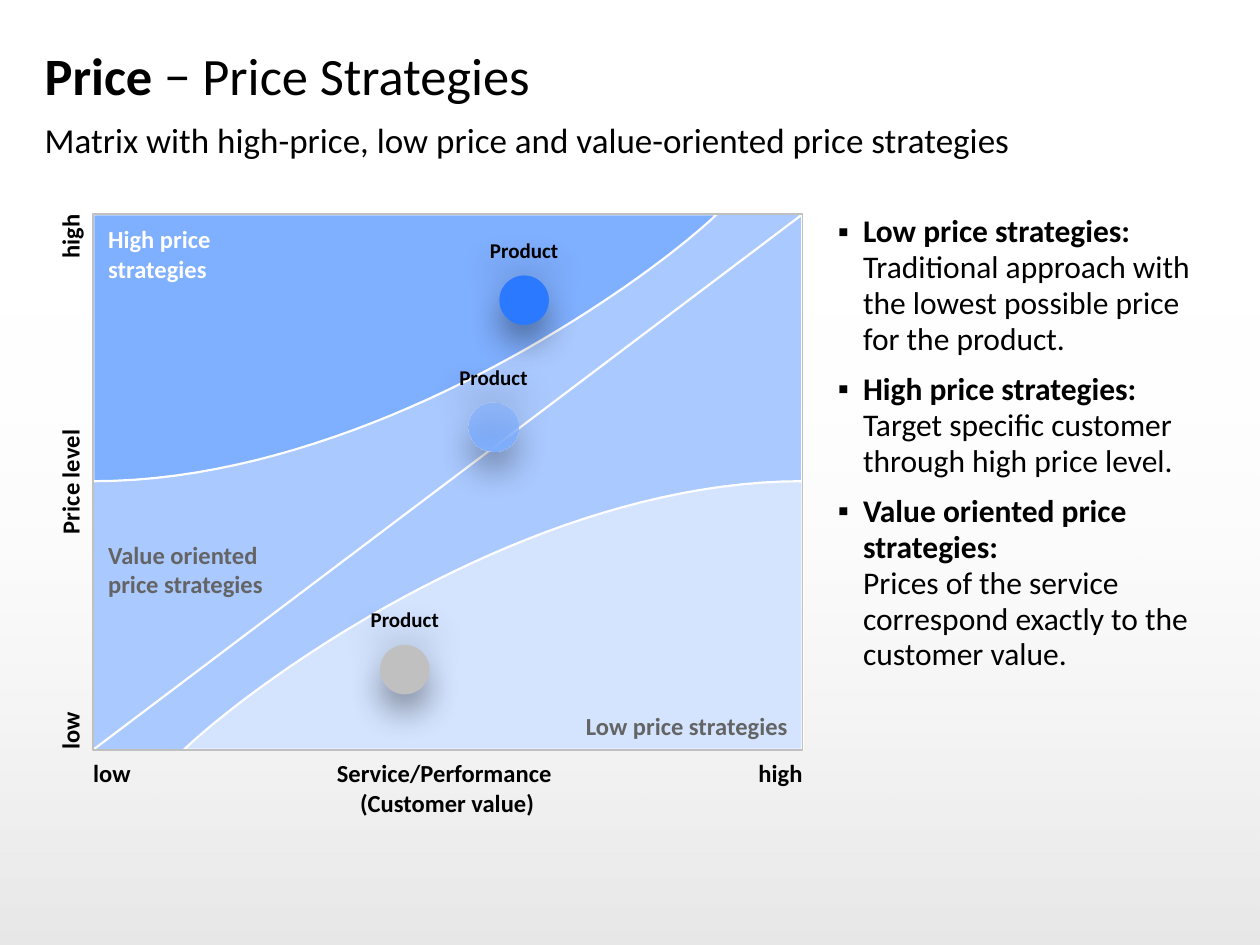
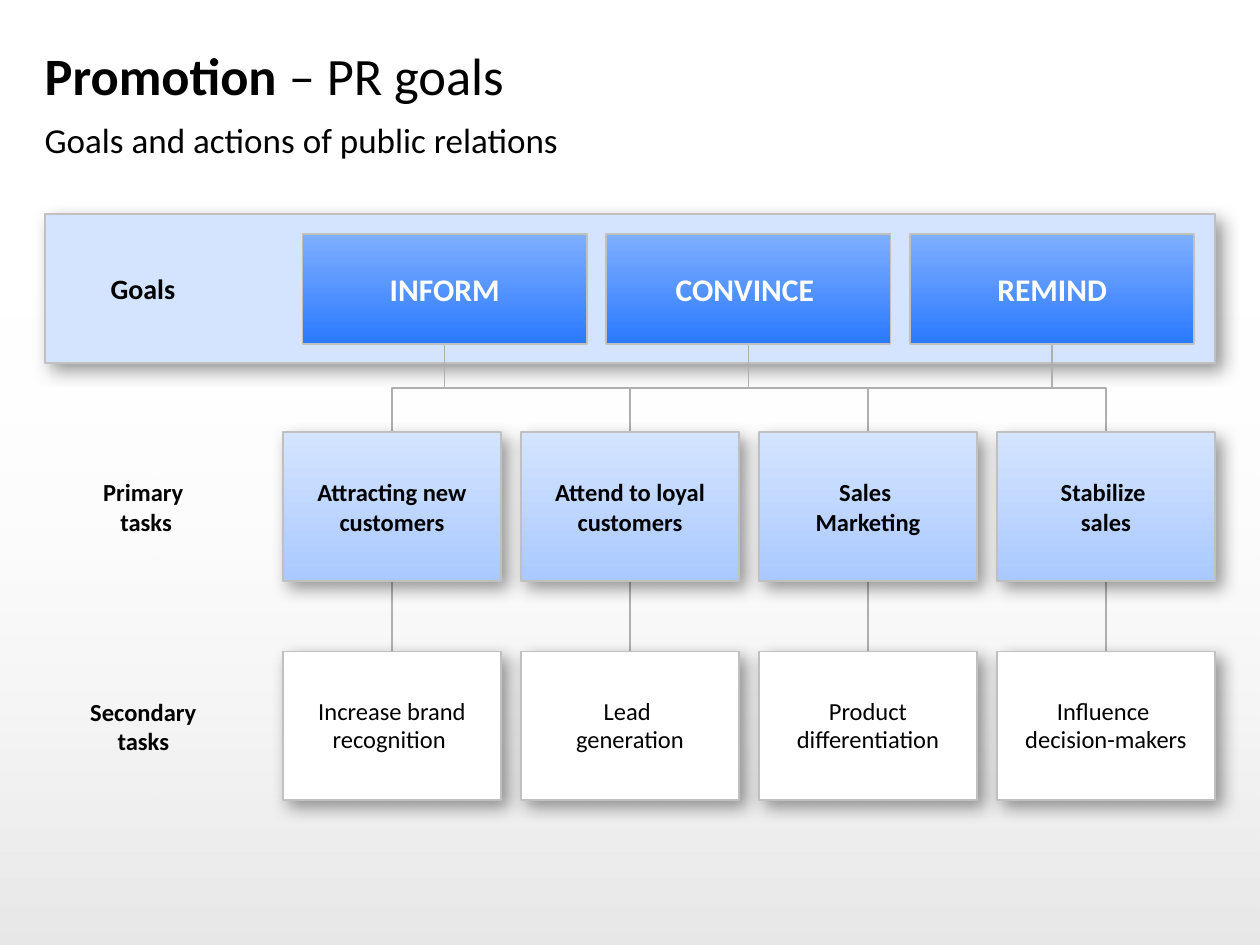
from copy import deepcopy
from dataclasses import dataclass, replace
from typing import NamedTuple

from pptx import Presentation
from pptx.dml.color import RGBColor
from pptx.enum.shapes import MSO_CONNECTOR, MSO_SHAPE
from pptx.enum.text import MSO_ANCHOR, MSO_AUTO_SIZE, PP_ALIGN
from pptx.oxml import parse_xml
from pptx.oxml.ns import nsdecls, qn
from pptx.oxml.xmlchemy import OxmlElement
from pptx.util import Pt

BLACK, WHITE, DARK = "000000", "FFFFFF", "646464"
PALE, LIGHT, MID, BLUE = "D4E4FF", "AAC9FF", "7FAFFF", "2A79FF"
GREY, WIRE = "C0C0C0", "AFAFAF"
LEFT, TOP, WIDE = 25.5, 122.4, 669
RIGHT, CENTER = PP_ALIGN.RIGHT, PP_ALIGN.CENTER
MIDDLE, BOTTOM = MSO_ANCHOR.MIDDLE, MSO_ANCHOR.BOTTOM


class Box(NamedTuple):
    x: float
    y: float
    w: float
    h: float

    def emu(self) -> list:
        return [Pt(v) for v in self]


class Shade(NamedTuple):
    blur: float
    dist: float
    angle: int


class Fade(NamedTuple):
    """Colours with their opacity in percent, from first to last."""
    stops: tuple
    angle: int = 90


@dataclass(frozen=True)
class Look:
    size: float = 14
    color: str = BLACK
    bold: bool = True
    align: PP_ALIGN = PP_ALIGN.LEFT
    anchor: MSO_ANCHOR = MSO_ANCHOR.TOP
    inset: tuple = (0, 0, 0, 0)
    wrap: bool = True
    lead: float = 1.0
    before: float = 0
    after: float = 0
    bullet: str = ""
    indent: float = 0


@dataclass(frozen=True)
class Label:
    box: Box
    text: str
    look: Look
    turn: int = 0


class Dot(NamedTuple):
    x: float
    y: float
    fill: object


PAD = (8.5, 5.7, 8.5, 5.7)
AXIS = Look()
NOTE = Look(inset=PAD)
SIDE = Look(align=CENTER, anchor=MIDDLE)
HEAD = Look(size=30, bold=False, anchor=MIDDLE)
SUB = Look(size=20, bold=False, before=4.3)
LIST = Look(size=18, bold=False, lead=0.95, after=8, bullet="▪", indent=14.4)
TAG = Look(size=12, align=CENTER, anchor=BOTTOM, inset=(0, 0, 0, 42.5),
           wrap=False, lead=0.9, after=4)
GOAL = Look(size=18, color=WHITE, align=CENTER, anchor=MIDDLE, inset=PAD)
FIRST = Look(align=CENTER, anchor=MIDDLE, inset=(2.8,) * 4, after=4)
SECOND = replace(FIRST, bold=False, inset=(8.5, 0, 8.5, 0), lead=0.95)
DROP = Shade(10, 5, 45)
GLOW = Shade(20, 10, 90)


def rgb(code: str) -> RGBColor:
    return RGBColor.from_string(code)


def assign(target, values: dict) -> None:
    for name, value in values.items():
        setattr(target, name, value)


def write(shape, paras: list, look: Look) -> None:
    """Fill a shape with paragraphs, each a list of (text, bold) runs."""
    frame = shape.text_frame
    sides = ("margin_left", "margin_top", "margin_right", "margin_bottom")
    assign(frame, {"auto_size": MSO_AUTO_SIZE.NONE, "word_wrap": look.wrap,
                   "vertical_anchor": look.anchor,
                   **{s: Pt(v) for s, v in zip(sides, look.inset)}})
    for i, runs in enumerate(paras):
        para = frame.add_paragraph() if i else frame.paragraphs[0]
        assign(para, {"alignment": look.align, "line_spacing": look.lead,
                      "space_before": Pt(look.before),
                      "space_after": Pt(look.after)})
        for text, bold in runs:
            for n, line in enumerate(text.split("\n")):
                if n:
                    para.add_line_break()
                if line:
                    run = para.add_run()
                    run.text = line
                    assign(run.font, {"name": "Calibri", "size": Pt(look.size),
                                      "bold": bold})
                    run.font.color.rgb = rgb(look.color)
        for gap in para._p.findall(qn("a:br")):
            gap.append(deepcopy(para.runs[0].font._element))
        if shape.is_placeholder:
            mark(para, look)


def mark(para, look: Look) -> None:
    """Set the bullet and hanging indent, or clear them."""
    props = para._p.get_or_add_pPr()
    props.set("marL", str(Pt(look.indent)))
    props.set("indent", str(-Pt(look.indent)))
    sign = OxmlElement("a:buChar" if look.bullet else "a:buNone")
    if look.bullet:
        sign.set("char", look.bullet)
    props.append(sign)


def paint(shape, fill, line: str = "", width: float = 1) -> None:
    shape.shadow.inherit = False
    if isinstance(fill, Fade):
        shape.fill.gradient()
        last = len(fill.stops) - 1
        stops = "".join(
            f'<a:gs pos="{100000 * i // last}"><a:srgbClr val="{rgb(code)}">'
            f'<a:alpha val="{alpha * 1000}"/></a:srgbClr></a:gs>'
            for i, (code, alpha) in enumerate(fill.stops))
        props = shape.element.spPr
        props.replace(props.find(qn("a:gradFill")), parse_xml(
            f'<a:gradFill {nsdecls("a")} rotWithShape="1"><a:gsLst>{stops}</a:gsLst>'
            f'<a:lin ang="{fill.angle * 60000}" scaled="0"/></a:gradFill>'))
    elif fill:
        shape.fill.solid()
        shape.fill.fore_color.rgb = rgb(fill)
    else:
        shape.fill.background()
    if line:
        shape.line.color.rgb = rgb(line)
        shape.line.width = Pt(width)
    else:
        shape.line.fill.background()


def cast(shape, shade: Shade) -> None:
    """Give a shape an outer shadow."""
    shape.element.spPr.find(qn("a:effectLst")).append(parse_xml(
        f'<a:outerShdw {nsdecls("a")} blurRad="{Pt(shade.blur)}" '
        f'dist="{Pt(shade.dist)}" dir="{shade.angle * 60000}" rotWithShape="0">'
        f'<a:srgbClr val="{rgb(BLACK)}"><a:alpha val="40000"/></a:srgbClr>'
        '</a:outerShdw>'))


def block(slide, box: Box, fill, line: str = "", width: float = 1,
          shade: Shade = None, kind=MSO_SHAPE.RECTANGLE):
    shape = slide.shapes.add_shape(kind, *box.emu())
    paint(shape, fill, line, width)
    if shade:
        cast(shape, shade)
    return shape


def label(slide, item: Label) -> None:
    shape = slide.shapes.add_textbox(*item.box.emu())
    shape.rotation = item.turn
    write(shape, [[(item.text, item.look.bold)]], item.look)


def link(slide, start: tuple, end: tuple, color: str = WIRE,
         width: float = 1, bent: bool = False) -> None:
    """Draw a straight line, or an elbow that leaves and arrives upright."""
    (x1, y1), (x2, y2) = start, end
    if bent:
        sign = 1 if x2 > x1 else -1
        cx, cy = (x1 + x2) / 2, (y1 + y2) / 2
        dx, dy = abs(x2 - x1) / 2, sign * (y2 - y1) / 2
        x1, y1, x2, y2 = cx + dy, cy - dx, cx - dy, cy + dx
    kind = MSO_CONNECTOR.ELBOW if bent else MSO_CONNECTOR.STRAIGHT
    # An unflipped elbow turns by 90 degrees, a flipped one by 270.
    wire = slide.shapes.add_connector(kind, *(Pt(v) for v in (x1, y1, x2, y2)))
    props = wire._element.spPr
    if bent:
        props.find(qn("a:xfrm")).set("rot", str((180 + sign * 90) * 60000))
    wire.line.color.rgb = rgb(color)
    wire.line.width = Pt(width)
    props.append(OxmlElement("a:effectLst"))


def region(slide, curve: tuple, corner: tuple, fill: str) -> None:
    """Close a cubic curve through a corner of the matrix."""
    steps = 40
    points = [corner]
    for t in (i / steps for i in range(steps + 1)):
        parts = ((1 - t) ** 3, 3 * t * (1 - t) ** 2, 3 * t * t * (1 - t), t ** 3)
        points.append(tuple(sum(k * p[a] for k, p in zip(parts, curve))
                            for a in (0, 1)))
    spots = [(Pt(x), Pt(y)) for x, y in points]
    form = slide.shapes.build_freeform(*spots[0])
    form.add_line_segments(spots[1:], close=True)
    paint(form.convert_to_shape(), fill, WHITE, 1.25)


def place(holder, box: Box, paras: list, look: Look) -> None:
    assign(holder, dict(zip(("left", "top", "width", "height"), box.emu())))
    write(holder, paras, look)


def begin(deck, layout: int, topic: str, rest: str, sub: str):
    slide = deck.slides.add_slide(deck.slide_layouts[layout])
    place(slide.shapes.title, Box(LEFT, 18.7, WIDE, 48.2),
          [[(topic, True), (rest, False)]], HEAD)
    place(slide.placeholders[1], Box(LEFT, 67.7, WIDE, 26.6),
          [[(sub, False)]], SUB)
    return slide


def matrix(deck):
    slide = begin(deck, 3, "Price ", "− Price Strategies",
                  "Matrix with high-price, low price and value-oriented price strategies")
    place(slide.placeholders[2], Box(478.8, TOP, 215.5, 335), [
        [("Low price strategies:\n", True),
         ("Traditional approach with the lowest possible price for the product.", False)],
        [("High price strategies:\n", True),
         ("Target specific customer through high price level.", False)],
        [("Value oriented price strategies:\n", True),
         ("Prices of the service correspond exactly to the customer value.", False)],
    ], LIST)

    area = Box(53.3, TOP, 405.3, 306)
    x, y, w, h = area
    end, base, half = x + w, y + h, 275
    block(slide, area, LIGHT, WHITE, 1.25)
    region(slide, ((end, half), (303.8, half), (148.3, 387.4), (105.1, base)),
           (end, base), PALE)
    region(slide, ((x, half), (208.8, half), (366.5, 163.4), (409.7, y)),
           (x, y), MID)
    link(slide, (x, base), (end, y), WHITE, 1.25)

    span, tall, foot = 70, 17, 433.4
    for spot, text, align in ((y + span / 2, "high", RIGHT),
                              (y + h / 2, "Price level", CENTER),
                              (base - span / 2, "low", AXIS.align)):
        label(slide, Label(Box(5, spot - tall / 2, span, tall), text,
                           replace(AXIS, align=align), 270))
    for item in (
        Label(Box(x, foot, 78, tall), "low", AXIS),
        Label(Box(146, foot, 219, 34), "Service/Performance \n(Customer value)",
              replace(AXIS, align=CENTER)),
        Label(Box(end - 78, foot, 78, tall), "high", replace(AXIS, align=RIGHT)),
        Label(Box(x, y, 135, 45), "High price \nstrategies",
              replace(NOTE, color=WHITE)),
        Label(Box(x, 302.7, 110, 45), "Value oriented price strategies",
              replace(NOTE, color=DARK)),
        Label(Box(end - 135, base - 28, 135, 28), "Low price strategies",
              replace(NOTE, color=DARK, align=RIGHT)),
    ):
        label(slide, item)
    block(slide, area, None, GREY)

    for dot in (Dot(217.2, 368.5, GREY), Dot(285.4, 157.4, BLUE),
                Dot(267.9, 230, Fade(((MID, 100), (MID, 50)), 270))):
        ball = block(slide, Box(dot.x, dot.y, 28.3, 28.3), dot.fill,
                     shade=GLOW, kind=MSO_SHAPE.OVAL)
        write(ball, [[("Product", True)]], TAG)
    return slide


def goals(deck) -> None:
    slide = begin(deck, 1, "Promotion ", "– PR goals",
                  "Goals and actions of public relations")
    tall, first, second = 85, 247, 372.3
    goal = Box(172.8, 133.9, 162.5, 62.6)
    task = Box(161.6, first, 124.8, tall)
    tops = [goal.x + 173.6 * i for i in range(3)]
    cols = [task.x + 136 * i for i in range(4)]
    block(slide, Box(LEFT, TOP, WIDE, tall), PALE, GREY, shade=DROP)

    for a, b in ((0, 1), (2, 2), (1, 0), (1, 3)):
        link(slide, (tops[a] + goal.w / 2, goal.y + goal.h),
             (cols[b] + task.w / 2, first), bent=True)
    for x in cols:
        mid = x + task.w / 2
        link(slide, (mid, first + tall), (mid, second))

    strong = Fade(((MID, 100), (BLUE, 100)))
    soft = Fade(((PALE, 100), (LIGHT, 100)))
    rows = (
        (goal, tops, strong, None, GOAL, ("INFORM", "CONVINCE ", "REMIND")),
        (task, cols, soft, DROP, FIRST,
         ("Attracting new customers", "Attend to loyal customers",
          "Sales \nMarketing", "Stabilize \nsales")),
        (task._replace(y=second), cols, WHITE, DROP, SECOND,
         ("Increase brand recognition ", "Lead \ngeneration",
          "Product differentiation", "Influence \ndecision-makers")),
    )
    for box, lefts, fill, shade, look, texts in rows:
        for x, text in zip(lefts, texts):
            shape = block(slide, box._replace(x=x), fill, GREY, shade=shade)
            write(shape, [[(text, look.bold)]], look)

    for y, text, size in ((TOP, "Goals ", 16), (first, "Primary \ntasks", 14),
                          (second, "Secondary \ntasks ", 14)):
        label(slide, Label(Box(LEFT, y, 116, tall), text, replace(SIDE, size=size)))


def main() -> None:
    deck = Presentation()
    assign(deck, {"slide_width": Pt(720), "slide_height": Pt(540)})
    slide = matrix(deck)
    band = block(slide, Box(0, 159, 720, 381), Fade(((BLACK, 10), (WHITE, 0)), 270))
    deck.slide_master.shapes.element.insert(2, band.element)
    goals(deck)
    deck.save("out.pptx")


if __name__ == "__main__":
    main()
